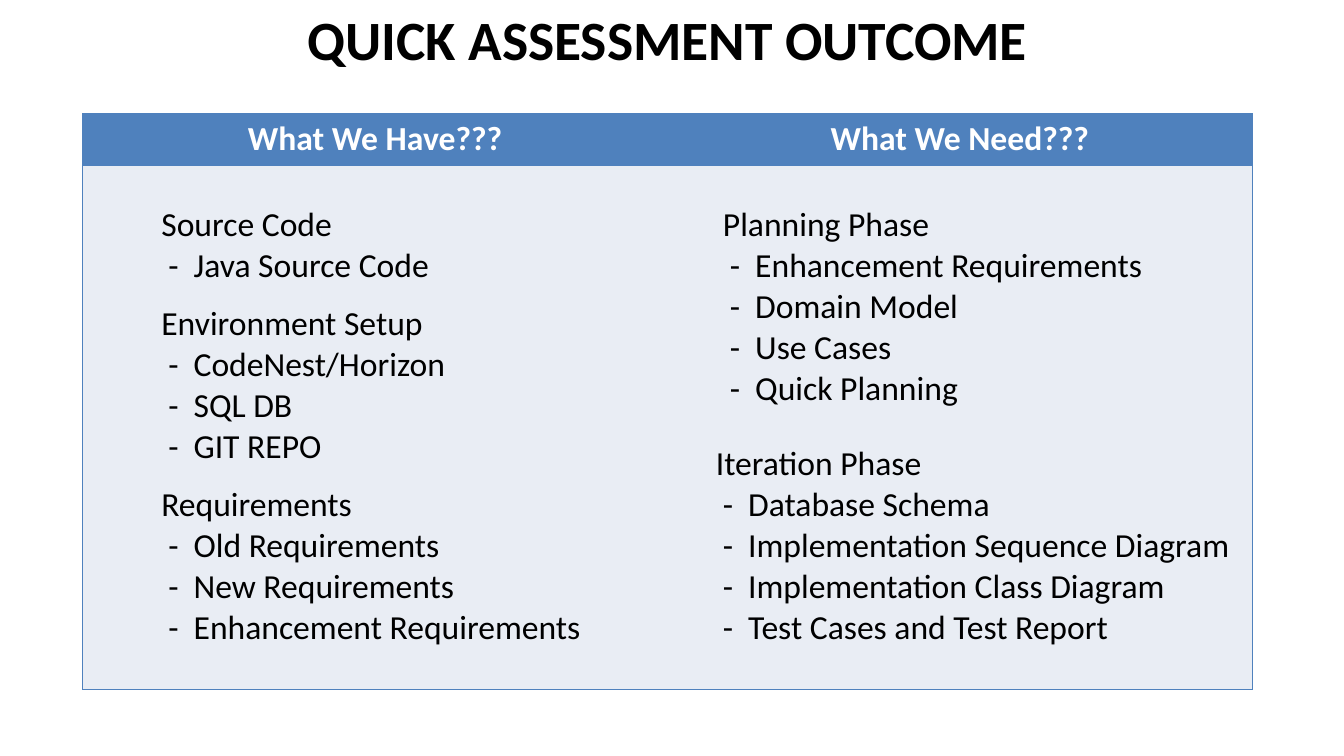
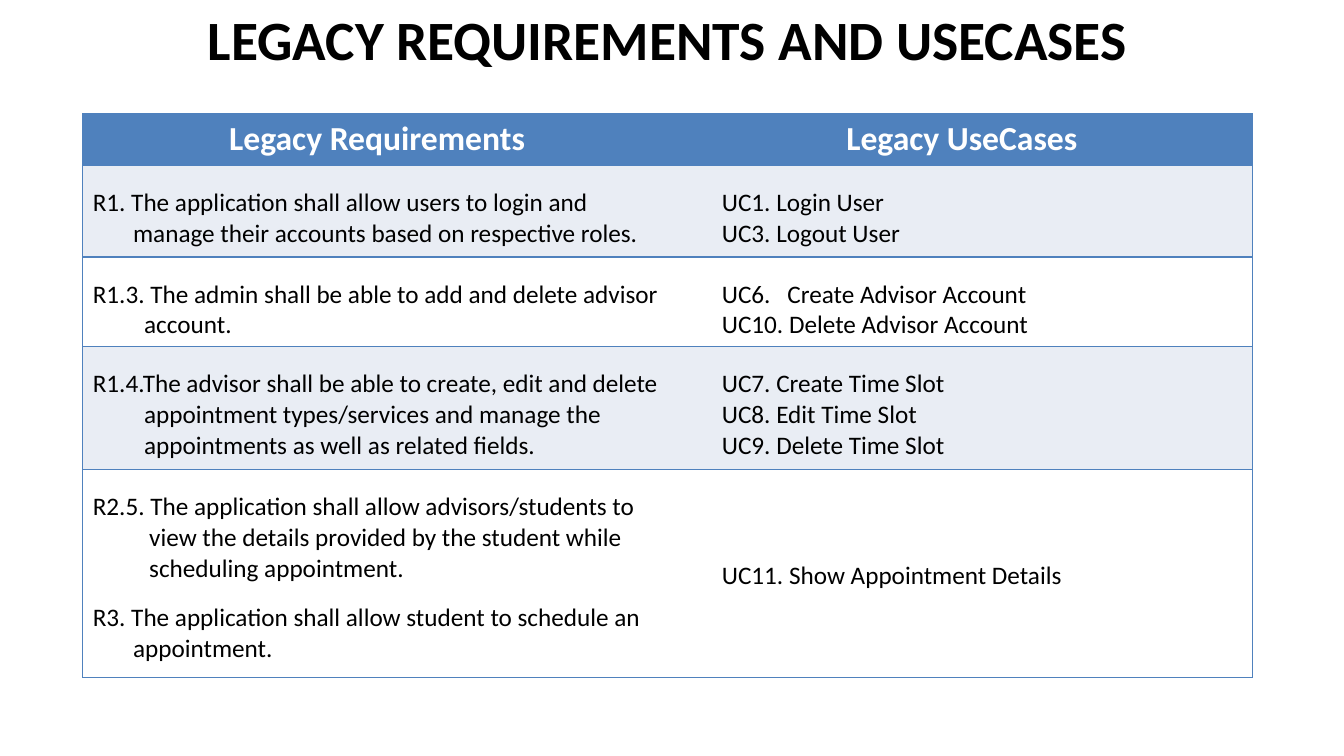
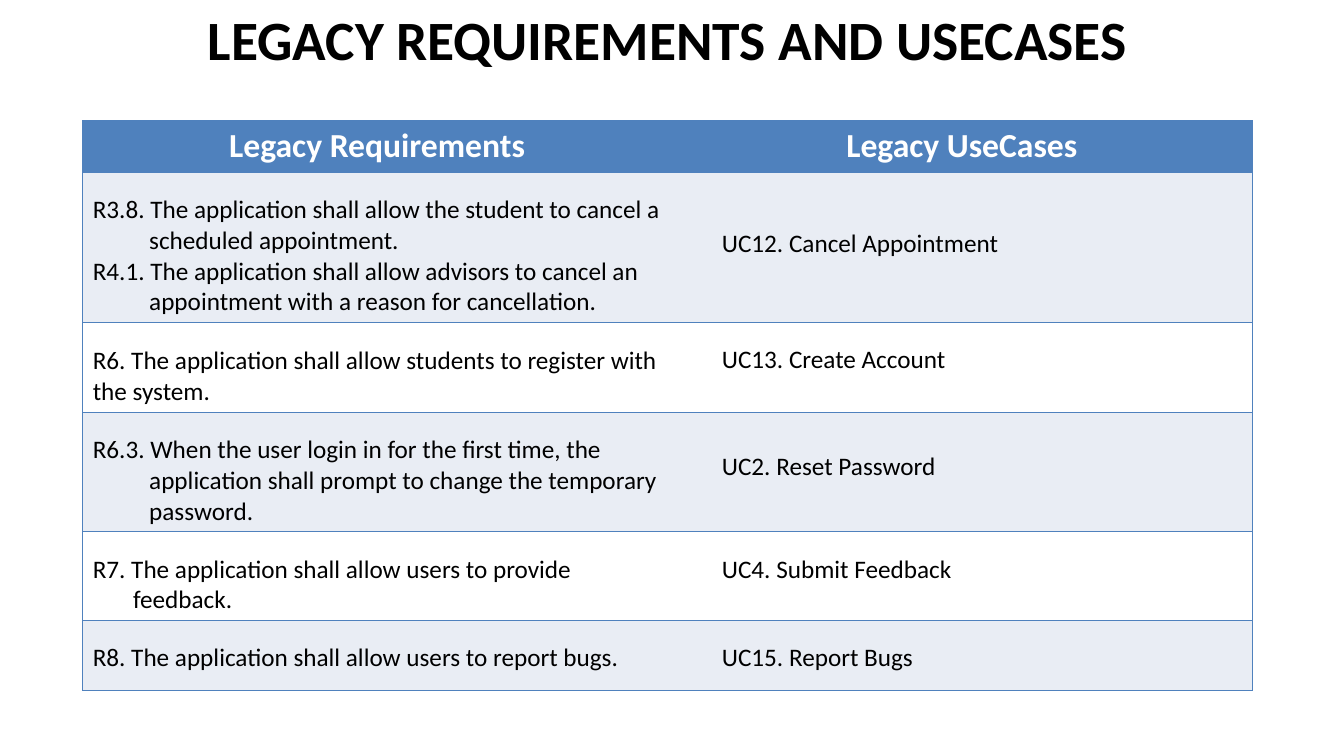
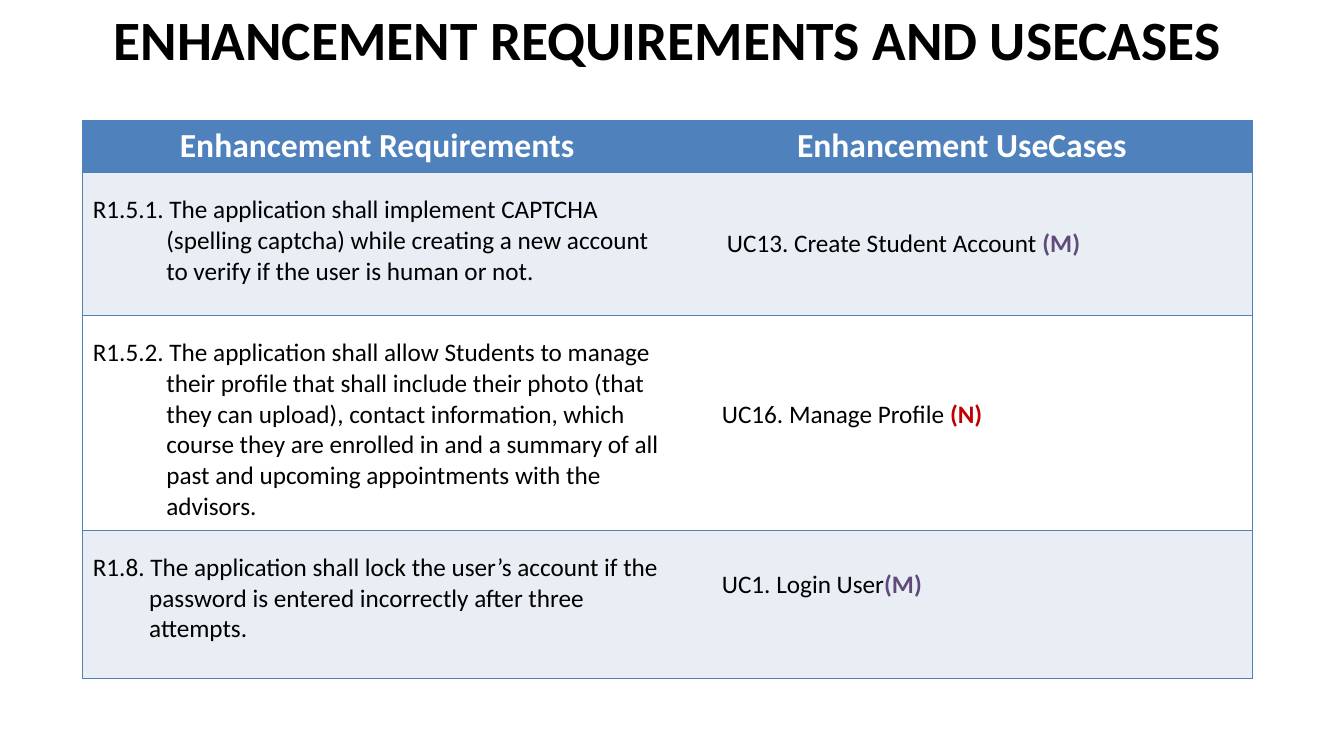
"""Build four slides that set assessment results, requirements and use cases side by side."""
from dataclasses import dataclass

from lxml.etree import SubElement
from pptx import Presentation
from pptx.dml.color import RGBColor
from pptx.enum.text import MSO_ANCHOR, MSO_AUTO_SIZE, PP_ALIGN
from pptx.oxml import parse_xml
from pptx.oxml.ns import nsdecls, qn
from pptx.util import Inches, Pt

BLUE = RGBColor(0x4F, 0x81, 0xBD)
PALE = RGBColor(0xE9, 0xED, 0xF4)
WHITE = RGBColor(0xFF, 0xFF, 0xFF)
BLACK = RGBColor(0, 0, 0)
MARK_COLORS = {"(M)": RGBColor(0x60, 0x4A, 0x7B), "(N)": RGBColor(0xC0, 0, 0)}

FONT = "Calibri"
LEFT, WIDTH = 0.82, 11.6
HEADER_HEIGHT = 0.51
DASH_OFFSET, DASH_HANG = 0.07, 0.25


@dataclass
class Line:
    """One paragraph of a cell; lengths in inches, gap and size in points."""
    text: str
    left: float = 0
    hang: float = 0
    gap: float = 0
    size: float = 18
    mark: str = ""
    dash: bool = False


@dataclass
class Cell:
    """The paragraphs of a cell and the space above them in inches."""
    lines: list
    top: float = 0.22


def requirement(text, hang=0, gap=0):
    return Line(text, left=hang, hang=hang, gap=gap)


def use_case(text, mark="", indent=0.4, hang=0):
    return Line(text, left=indent + hang, hang=hang, mark=mark)


def outline(groups, gap):
    """Turn (heading, indent, items) groups into a cell of dashed lists."""
    lines = []
    for heading, indent, items in groups:
        lines.append(Line(heading, indent, gap=gap if lines else 0, size=24))
        item_left = indent + DASH_OFFSET + DASH_HANG
        lines += [Line(item, item_left, DASH_HANG, size=24, dash=True) for item in items]
    return Cell(lines, 0.39)


HAVE = [
    ("Source Code", 0.68, ["Java Source Code"]),
    ("Environment Setup", 0.68, ["CodeNest/Horizon", "SQL DB", "GIT REPO"]),
    ("Requirements", 0.68, ["Old Requirements", "New Requirements", "Enhancement Requirements"]),
]
NEED = [
    ("Planning Phase", 0.45,
     ["Enhancement Requirements", "Domain Model", "Use Cases", "Quick Planning"]),
    ("Iteration Phase", 0.38,
     ["Database Schema", "Implementation Sequence Diagram",
      "Implementation Class Diagram", "Test Cases and Test Report"]),
]

LEGACY_TITLE = "LEGACY REQUIREMENTS AND USECASES"
LEGACY_HEADERS = ("Legacy Requirements", "Legacy UseCases")
REQUIREMENT_COLUMNS = (5.84, 5.76)

SLIDES = [
    {"title": "QUICK ASSESSMENT OUTCOME", "top": 1.13, "columns": (5.8, 5.8),
     "headers": ("What We Have???", "What We Need???"),
     "rows": [(5.2, outline(HAVE, 12), outline(NEED, 24))]},
    {"title": LEGACY_TITLE, "top": 1.13, "columns": REQUIREMENT_COLUMNS,
     "headers": LEGACY_HEADERS,
     "rows": [
         (0.91,
          Cell([requirement("R1. The application shall allow users to login and "
                            "manage their accounts based on respective roles.", 0.4)]),
          Cell([use_case("UC1. Login User"), use_case("UC3. Logout User")])),
         (0.89,
          Cell([requirement("R1.3. The admin shall be able to add and delete advisor "
                            "account.", 0.51)]),
          Cell([use_case("UC6.\tCreate Advisor Account", hang=0.65),
                use_case("UC10. Delete Advisor Account")])),
         (1.22,
          Cell([requirement("R1.4.The advisor shall be able to create, edit and delete "
                            "appointment types/services and manage the "
                            "appointments as well as related fields.", 0.51)]),
          Cell([use_case("UC7. Create Time Slot"), use_case("UC8. Edit Time Slot"),
                use_case("UC9. Delete Time Slot")])),
         (2.06,
          Cell([requirement("R2.5. The application shall allow advisors/students to "
                            "view the details provided by the student while "
                            "scheduling appointment.", 0.56),
                requirement("R3. The application shall allow student to schedule an "
                            "appointment.", 0.4, gap=13)]),
          Cell([use_case("UC11. Show Appointment Details")], 0.9)),
     ]},
    {"title": LEGACY_TITLE, "top": 1.2, "columns": REQUIREMENT_COLUMNS,
     "headers": LEGACY_HEADERS,
     "rows": [
         (1.48,
          Cell([requirement("R3.8. The application shall allow the student to cancel a "
                            "scheduled appointment.", 0.56),
                requirement("R4.1. The application shall allow advisors to cancel an "
                            "appointment with a reason for cancellation.", 0.56)]),
          Cell([use_case("UC12. Cancel Appointment")], 0.56)),
         (0.89,
          Cell([requirement("R6. The application shall allow students to register with "
                            "the system.")], 0.23),
          Cell([use_case("UC13. Create Account")])),
         (1.18,
          Cell([requirement("R6.3. When the user login in for the first time, the "
                            "application shall prompt to change the temporary "
                            "password.", 0.56)]),
          Cell([use_case("UC2. Reset Password")], 0.39)),
         (0.88,
          Cell([requirement("R7. The application shall allow users to provide "
                            "feedback.", 0.4)]),
          Cell([use_case("UC4. Submit Feedback")])),
         (0.69,
          Cell([requirement("R8. The application shall allow users to report bugs.")]),
          Cell([use_case("UC15. Report Bugs")])),
     ]},
    {"title": "ENHANCEMENT REQUIREMENTS AND USECASES", "top": 1.2,
     "columns": REQUIREMENT_COLUMNS,
     "headers": ("Enhancement Requirements", "Enhancement UseCases"),
     "rows": [
         (1.42,
          Cell([requirement("R1.5.1. The application shall implement CAPTCHA "
                            "(spelling captcha) while creating a new account "
                            "to verify if the user is human or not.", 0.73)]),
          Cell([use_case("UC13. Create Student Account ", "(M)", indent=0.45)], 0.56)),
         (2.13,
          Cell([requirement("R1.5.2. The application shall allow Students to manage "
                            "their profile that shall include their photo (that "
                            "they can upload), contact information, which "
                            "course they are enrolled in and a summary of all "
                            "past and upcoming appointments with the advisors.", 0.73)]),
          Cell([use_case("UC16. Manage Profile ", "(N)")], 0.83)),
         (1.47,
          Cell([requirement("R1.8. The application shall lock the user’s account if the "
                            "password is entered incorrectly after three "
                            "attempts.", 0.56)]),
          Cell([use_case("UC1. Login User", "(M)")], 0.39)),
     ]},
]


def add_run(paragraph, text, size, color, bold=False):
    run = paragraph.add_run()
    run.text = text
    for name, value in {"name": FONT, "size": Pt(size), "bold": bold}.items():
        setattr(run.font, name, value)
    run.font.color.rgb = color


def add_title(slide, text):
    title = slide.shapes.title
    box = {"left": LEFT, "top": 0, "width": WIDTH, "height": 0.77}
    for name, value in box.items():
        setattr(title, name, Inches(value))
    frame = title.text_frame
    frame.auto_size = MSO_AUTO_SIZE.NONE
    frame.vertical_anchor = MSO_ANCHOR.MIDDLE
    paragraph = frame.paragraphs[0]
    paragraph.alignment = PP_ALIGN.CENTER
    add_run(paragraph, text, 39.6, BLACK, True)


def style_cell(cell, color, first_column):
    """Fill a cell and outline it, leaving the line between the columns open."""
    cell.fill.solid()
    cell.fill.fore_color.rgb = color
    open_side = "lnR" if first_column else "lnL"
    properties = cell._tc.get_or_add_tcPr()
    for position, side in enumerate(("lnL", "lnR", "lnT", "lnB")):
        paint = ("<a:noFill/>" if side == open_side
                 else f'<a:solidFill><a:srgbClr val="{BLUE}"/></a:solidFill>')
        border = parse_xml(f'<a:{side} {nsdecls("a")} w="12700">{paint}</a:{side}>')
        properties.insert(position, border)


def write_line(paragraph, line):
    paragraph.alignment = PP_ALIGN.LEFT
    paragraph.space_before = Pt(line.gap)
    properties = paragraph._p.get_or_add_pPr()
    properties.set("marL", str(Inches(line.left)))
    properties.set("indent", str(-Inches(line.hang)))
    if line.dash:
        SubElement(properties, qn("a:buFont")).set("typeface", FONT)
        SubElement(properties, qn("a:buChar")).set("char", "-")
    add_run(paragraph, line.text, line.size, BLACK)
    if line.mark:
        add_run(paragraph, line.mark, line.size, MARK_COLORS[line.mark], True)


def write_cell(cell, content):
    cell.margin_top = Inches(content.top)
    frame = cell.text_frame
    for index, line in enumerate(content.lines):
        write_line(frame.add_paragraph() if index else frame.paragraphs[0], line)


def add_comparison(slide, top, columns, headers, rows):
    heights = [HEADER_HEIGHT] + [row[0] for row in rows]
    table = slide.shapes.add_table(
        len(heights), len(columns), Inches(LEFT), Inches(top),
        Inches(WIDTH), Inches(sum(heights))).table
    for column, width in zip(table.columns, columns):
        column.width = Inches(width)
    for row, height in zip(table.rows, heights):
        row.height = Inches(height)
    for index, header in enumerate(headers):
        cell = table.cell(0, index)
        style_cell(cell, BLUE, index == 0)
        paragraph = cell.text_frame.paragraphs[0]
        paragraph.alignment = PP_ALIGN.CENTER
        add_run(paragraph, header, 24, WHITE, True)
    for row_index, (_, *contents) in enumerate(rows, 1):
        for index, content in enumerate(contents):
            cell = table.cell(row_index, index)
            style_cell(cell, PALE if row_index % 2 else WHITE, index == 0)
            write_cell(cell, content)


def main():
    presentation = Presentation()
    presentation.slide_width = Inches(13.33)
    presentation.slide_height = Inches(7.5)
    title_only = presentation.slide_layouts[5]
    for content in SLIDES:
        slide = presentation.slides.add_slide(title_only)
        add_title(slide, content["title"])
        add_comparison(slide, content["top"], content["columns"],
                       content["headers"], content["rows"])
    presentation.save("out.pptx")


if __name__ == "__main__":
    main()
